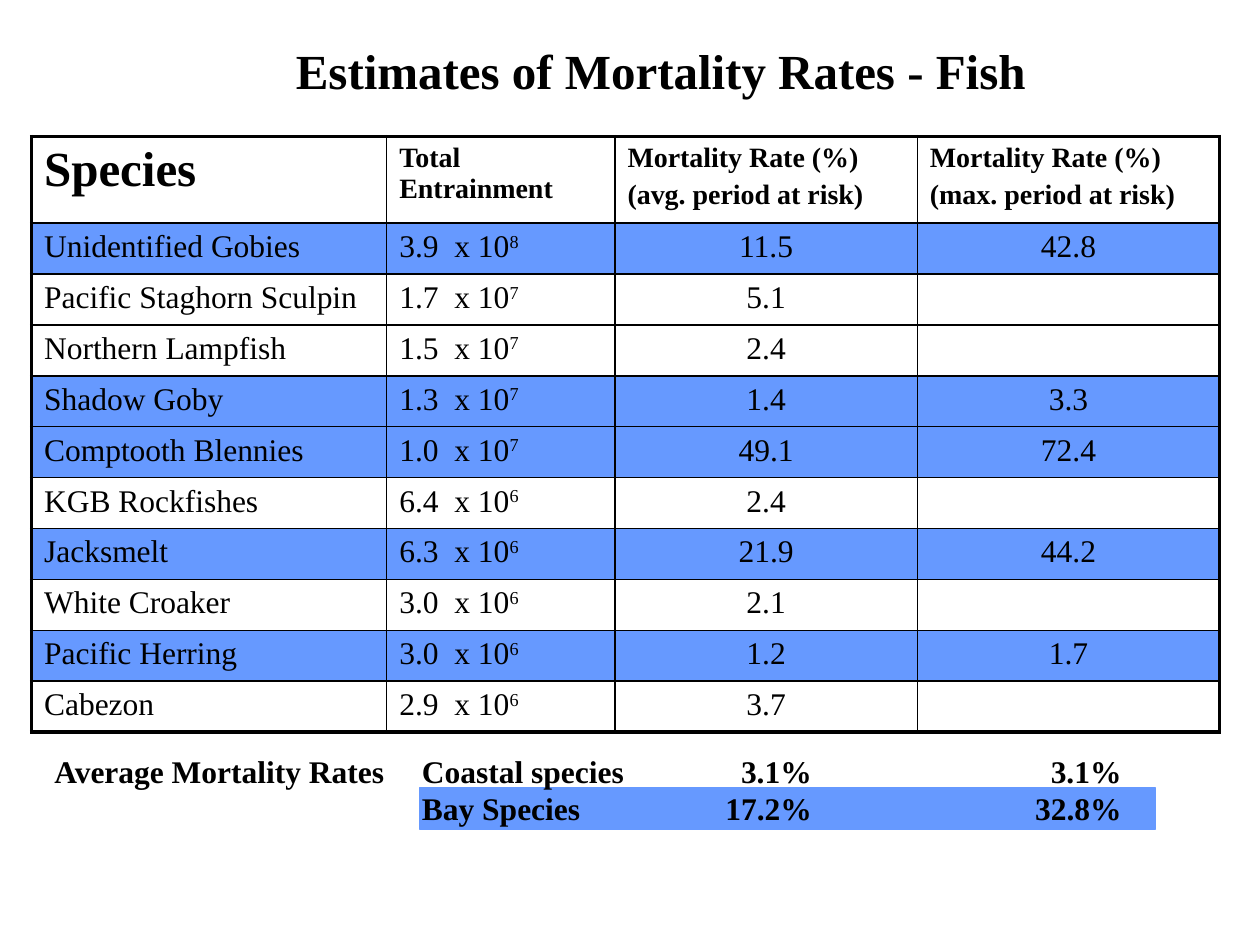
from lxml import etree
from pptx import Presentation
from pptx.dml.color import RGBColor
from pptx.enum.shapes import MSO_SHAPE
from pptx.enum.text import PP_ALIGN
from pptx.oxml.ns import qn
from pptx.util import Pt

FONT = "Times New Roman"
BLACK = "000000"
BAY_BLUE = "6699FF"
THIN, THICK = 1, 2.25

COLUMN_WIDTHS = [203, 130.4, 172.8, 172.8]
HEADER_HEIGHT, ROW_HEIGHT = 49.5, 29.1
HEADERS = [
    ["Species"],
    ["Total Entrainment"],
    ["Mortality Rate (%)", "(avg. period at risk)"],
    ["Mortality Rate (%)", "(max. period at risk)"],
]
# Species, entrainment mantissa, exponent, average rate, maximum rate (bay species only)
SPECIES = [
    ("Unidentified Gobies", "3.9", "8", "11.5", "42.8"),
    ("Pacific Staghorn Sculpin", "1.7", "7", "5.1", ""),
    ("Northern Lampfish", "1.5", "7", "2.4", ""),
    ("Shadow Goby", "1.3", "7", "1.4", "3.3"),
    ("Comptooth Blennies", "1.0", "7", "49.1", "72.4"),
    ("KGB Rockfishes", "6.4", "6", "2.4", ""),
    ("Jacksmelt", "6.3", "6", "21.9", "44.2"),
    ("White Croaker", "3.0", "6", "2.1", ""),
    ("Pacific Herring", "3.0", "6", "1.2", "1.7"),
    ("Cabezon", "2.9", "6", "3.7", ""),
]


def color(hex_value):
    return RGBColor.from_string(hex_value)


def add_run(paragraph, text, size, bold=False):
    run = paragraph.add_run()
    run.text = text
    for name, value in {"name": FONT, "size": Pt(size), "bold": bold}.items():
        setattr(run.font, name, value)
    run.font.color.rgb = color(BLACK)
    return run


def write_lines(frame, lines, size, bold=False, align=PP_ALIGN.LEFT, gap=0):
    """Write one paragraph per line, with gap points between them."""
    for index, line in enumerate(lines):
        paragraph = frame.add_paragraph() if index else frame.paragraphs[0]
        paragraph.alignment = align
        paragraph.space_before = Pt(gap if index else 0)
        add_run(paragraph, line, size, bold)


def add_text(slide, box, lines, size, align=PP_ALIGN.LEFT):
    frame = slide.shapes.add_textbox(*map(Pt, box)).text_frame
    frame.word_wrap = True
    write_lines(frame, lines, size, bold=True, align=align)


def set_borders(cell, widths):
    """Draw the cell's borders; widths maps L, R, T and B to points."""
    properties = cell._tc.get_or_add_tcPr()
    for index, (side, width) in enumerate(widths.items()):
        line = etree.Element(qn(f"a:ln{side}"), w=str(Pt(width)))
        fill = etree.SubElement(line, qn("a:solidFill"))
        etree.SubElement(fill, qn("a:srgbClr"), val=BLACK)
        properties.insert(index, line)


def fill_species_row(cells, species, mantissa, exponent, average, maximum):
    write_lines(cells[0].text_frame, [species], 18)
    write_lines(cells[1].text_frame, [f"{mantissa}  x 10"], 18)
    power = add_run(cells[1].text_frame.paragraphs[0], exponent, 18)
    power.font._element.set("baseline", "30000")
    for cell, rate in zip(cells[2:], (average, maximum)):
        write_lines(cell.text_frame, [rate], 18, align=PP_ALIGN.CENTER)
    if maximum:
        for cell in cells:
            cell.fill.solid()
            cell.fill.fore_color.rgb = color(BAY_BLUE)


def add_mortality_table(slide, left, top):
    rows, columns = len(SPECIES) + 1, len(COLUMN_WIDTHS)
    width = sum(COLUMN_WIDTHS)
    height = HEADER_HEIGHT + ROW_HEIGHT * len(SPECIES)
    table = slide.shapes.add_table(rows, columns, *map(Pt, (left, top, width, height))).table
    table.first_row = table.horz_banding = False
    for column, column_width in zip(table.columns, COLUMN_WIDTHS):
        column.width = Pt(column_width)
    for index, row in enumerate(table.rows):
        row.height = Pt(ROW_HEIGHT if index else HEADER_HEIGHT)
    for cell in table.iter_cells():
        cell.fill.background()

    for index, lines in enumerate(HEADERS):
        size = 16 if index else 28
        write_lines(table.cell(0, index).text_frame, lines, size, bold=True, gap=3.2)
    for row, record in zip(list(table.rows)[1:], SPECIES):
        fill_species_row(list(row.cells), *record)

    for index, cell in enumerate(table.iter_cells()):
        row, column = divmod(index, columns)
        outer = {"L": column == 0, "R": column == columns - 1,
                 "T": row == 0, "B": row == rows - 1}
        set_borders(cell, {side: THICK if edge else THIN for side, edge in outer.items()})


def add_averages(slide, left, top):
    band = slide.shapes.add_shape(
        MSO_SHAPE.RECTANGLE, *map(Pt, (left + 216, top + 24, 420, 24)))
    band.shadow.inherit = False
    band.fill.solid()
    band.fill.fore_color.rgb = color(BAY_BLUE)
    band.line.color.rgb = color(BAY_BLUE)
    band.line.width = Pt(0.75)

    add_text(slide, (left, top, 206, 29), ["Average Mortality Rates"], 18)
    add_text(slide, (left + 210, top, 134, 50), ["Coastal species", "Bay Species"], 18)
    for offset, rates in ((382, ["3.1%", "17.2%"]), (559, ["3.1%", "32.8%"])):
        add_text(slide, (left + offset, top, 65, 50), rates, 18, PP_ALIGN.RIGHT)


def main():
    presentation = Presentation()
    presentation.slide_width, presentation.slide_height = Pt(720), Pt(540)
    slide = presentation.slides.add_slide(presentation.slide_layouts[6])
    add_text(slide, (162, 19.5, 440, 41), ["Estimates of Mortality Rates - Fish"], 28)
    add_mortality_table(slide, 18, 78)
    add_averages(slide, 24, 426)
    presentation.save("out.pptx")


if __name__ == "__main__":
    main()
